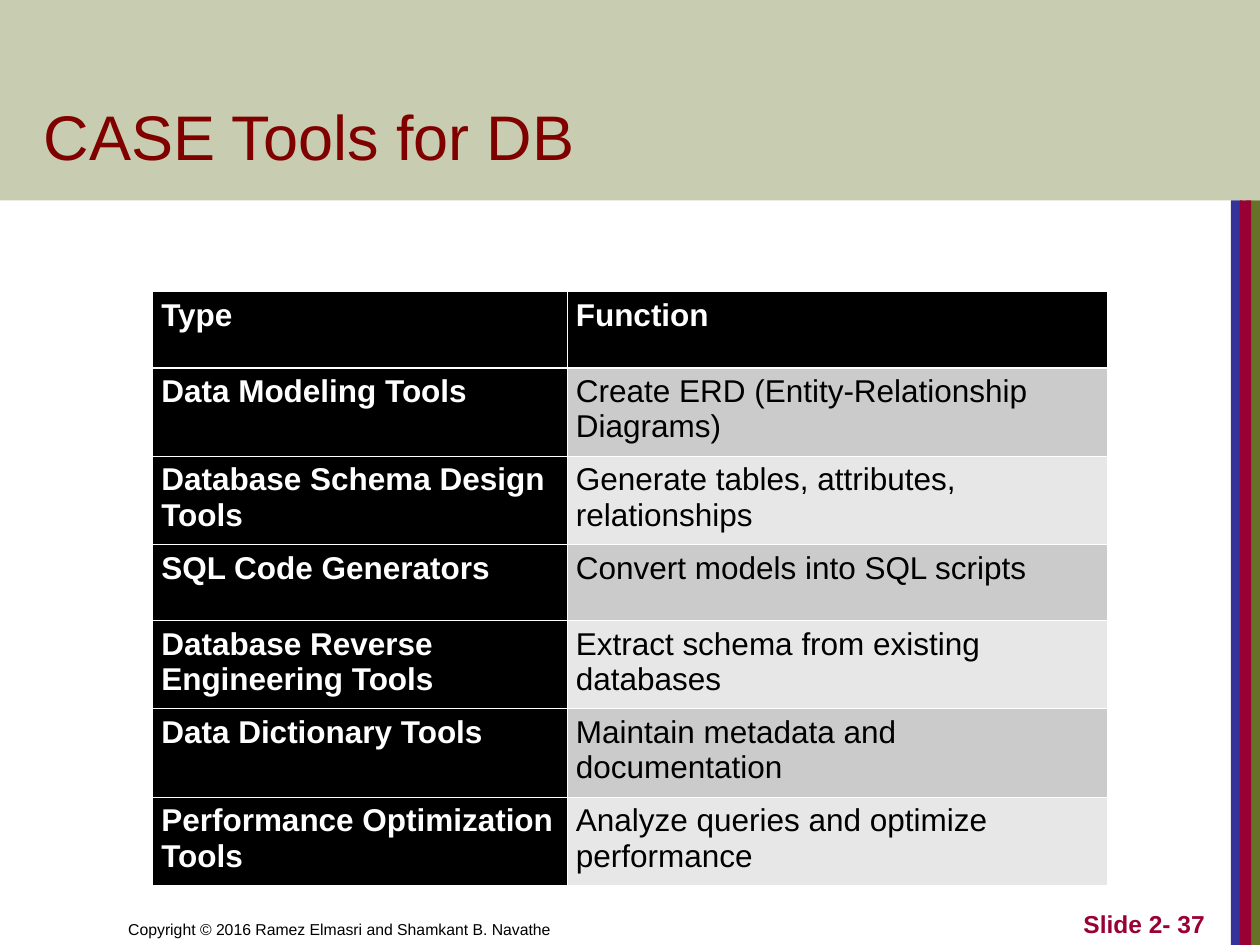
"""Build the slide on CASE tools for databases."""
from lxml.etree import SubElement
from pptx import Presentation
from pptx.dml.color import RGBColor
from pptx.enum.shapes import MSO_SHAPE
from pptx.enum.text import MSO_ANCHOR, PP_ALIGN
from pptx.oxml.ns import qn
from pptx.util import Pt

FONT = "Arial"
BLACK = RGBColor(0x00, 0x00, 0x00)
WHITE = RGBColor(0xFF, 0xFF, 0xFF)
OLIVE = RGBColor(0x67, 0x72, 0x28)
BLUE = RGBColor(0x33, 0x33, 0x99)
CRIMSON = RGBColor(0x99, 0x00, 0x33)
MAROON = RGBColor(0x80, 0x00, 0x00)
BANDS = (RGBColor(0xE7, 0xE7, 0xE7), RGBColor(0xCB, 0xCB, 0xCB))

WIDTH, HEIGHT, HEADER_HEIGHT = 720, 540, 114.5
STRIPES = [(712.1, 7.9, OLIVE), (703.4, 6.5, BLUE), (708.5, 6.5, CRIMSON)]
COLUMN_WIDTHS = (236.9, 308.9)
ROW_HEIGHT = 43.6
ROWS = [
    ("Type", "Function"),
    ("Data Modeling Tools", "Create ERD (Entity-Relationship Diagrams)"),
    ("Database Schema Design Tools", "Generate tables, attributes, relationships"),
    ("SQL Code Generators", "Convert models into SQL scripts"),
    ("Database Reverse Engineering Tools", "Extract schema from existing databases"),
    ("Data Dictionary Tools", "Maintain metadata and documentation"),
    ("Performance Optimization Tools", "Analyze queries and optimize performance"),
]


def add_run(p, text, size, color, bold=False):
    r = p.add_run()
    r.text = text
    r.font.name, r.font.size, r.font.bold = FONT, Pt(size), bold
    r.font.color.rgb = color


def add_rect(s, x, y, w, h, color, opacity=100):
    sp = s.shapes.add_shape(MSO_SHAPE.RECTANGLE, Pt(x), Pt(y), Pt(w), Pt(h))
    sp.shadow.inherit = False
    sp.line.fill.background()
    sp.fill.solid()
    sp.fill.fore_color.rgb = color
    if opacity < 100:
        clr = sp.fill._xPr.find(qn("a:solidFill")).find(qn("a:srgbClr"))
        SubElement(clr, qn("a:alpha"), val=str(opacity * 1000))


def add_text(s, x, y, w, h, text, size, color, bold=False, align=PP_ALIGN.LEFT):
    tf = s.shapes.add_textbox(Pt(x), Pt(y), Pt(w), Pt(h)).text_frame
    tf.word_wrap = True
    tf.vertical_anchor = MSO_ANCHOR.BOTTOM
    p = tf.paragraphs[0]
    p.alignment = align
    add_run(p, text, size, color, bold)


def set_borders(cell, **widths):
    tc_pr = cell._tc.get_or_add_tcPr()
    for side in "LRTB":
        width = Pt(widths.get(side, 0.45))
        ln = SubElement(tc_pr, qn(f"a:ln{side}"), w=str(width))
        fill = SubElement(ln, qn("a:solidFill"))
        SubElement(fill, qn("a:srgbClr"), val=str(WHITE))


def fill_cell(cell, row, col, text):
    heading = row == 0 or col == 0
    set_borders(cell, **{0: {"B": 1.47}, 1: {"T": 1.47}}.get(row, {}))
    cell.fill.solid()
    cell.fill.fore_color.rgb = BLACK if heading else BANDS[row % 2]
    cell.margin_left = cell.margin_right = Pt(5)
    cell.margin_top = cell.margin_bottom = Pt(3.6)
    p = cell.text_frame.paragraphs[0]
    add_run(p, text, 18, WHITE if heading else BLACK, heading)


def add_tools_table(s, x, y):
    frame = s.shapes.add_table(len(ROWS), len(COLUMN_WIDTHS), Pt(x), Pt(y),
                               Pt(sum(COLUMN_WIDTHS)), Pt(ROW_HEIGHT * len(ROWS)))
    table = frame.table
    for column, width in zip(table.columns, COLUMN_WIDTHS):
        column.width = Pt(width)
    for i, texts in enumerate(ROWS):
        table.rows[i].height = Pt(ROW_HEIGHT)
        for j, text in enumerate(texts):
            fill_cell(table.cell(i, j), i, j, text)


def main():
    prs = Presentation()
    prs.slide_width, prs.slide_height = Pt(WIDTH), Pt(HEIGHT)
    s = prs.slides.add_slide(prs.slide_layouts[6])
    for x, w, color in STRIPES:
        add_rect(s, x, HEADER_HEIGHT, w, HEIGHT - HEADER_HEIGHT, color)
    add_rect(s, 0, 0, WIDTH, HEADER_HEIGHT, OLIVE, opacity=36)
    add_text(s, 66.2, 504, 354.2, 36,
             "Copyright © 2016 Ramez Elmasri and Shamkant B. Navathe", 9, BLACK)
    add_text(s, 18, 23.8, 614.2, 78.5, "CASE Tools for DB", 36, MAROON)
    add_tools_table(s, 87.2, 166.5)
    add_text(s, 545.8, 504, 149.8, 36, "Slide 2- 37", 14, CRIMSON,
             bold=True, align=PP_ALIGN.RIGHT)
    prs.save("out.pptx")


main()
